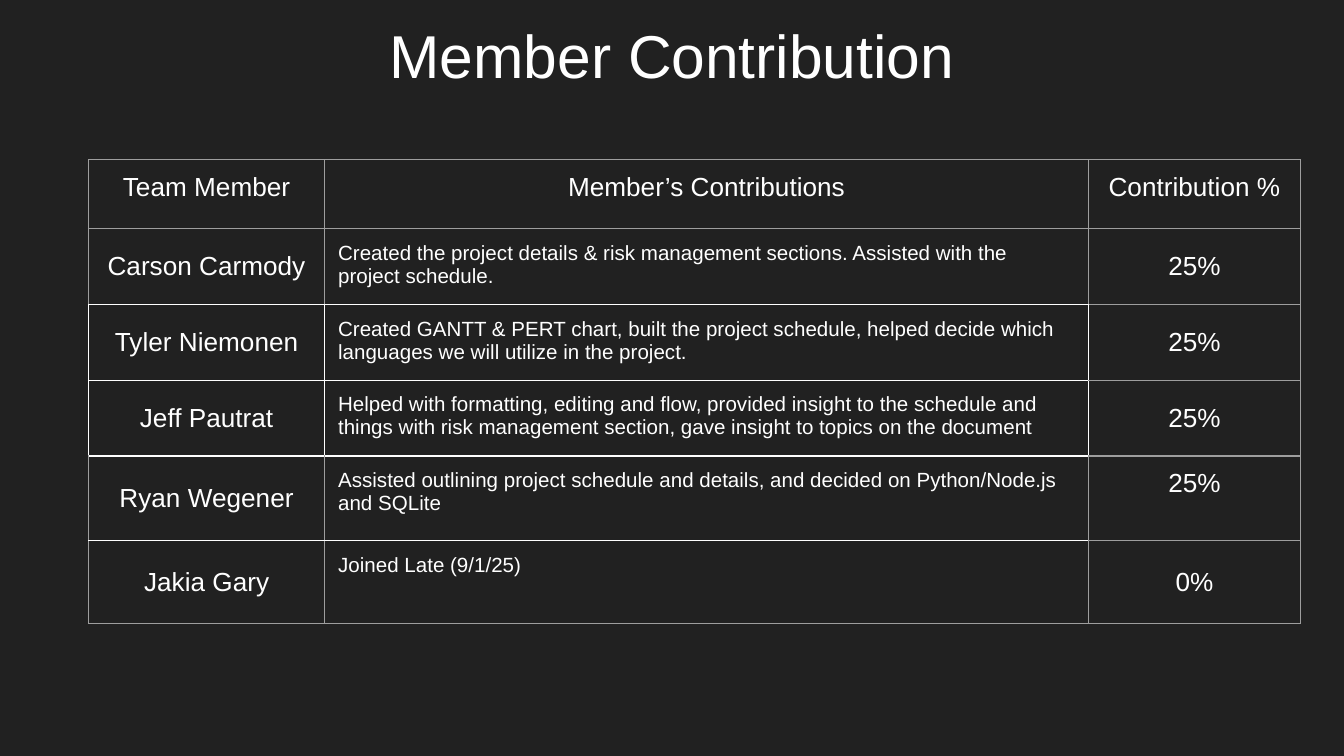
from dataclasses import dataclass

from lxml import etree
from pptx import Presentation
from pptx.dml.color import RGBColor
from pptx.enum.text import MSO_ANCHOR, PP_ALIGN
from pptx.oxml.ns import qn
from pptx.util import Cm, Pt

LEFT, CENTER = PP_ALIGN.LEFT, PP_ALIGN.CENTER
TOP, MIDDLE, BOTTOM = MSO_ANCHOR.TOP, MSO_ANCHOR.MIDDLE, MSO_ANCHOR.BOTTOM


@dataclass(frozen=True)
class Theme:
    background: str = "212121"
    text: str = "FFFFFF"
    grid: str = "9E9E9E"
    highlight: str = "FFFFFF"
    font: str = "Arial"
    title_size: float = 32.4
    label_size: float = 14
    detail_size: float = 11
    border: float = 0.75
    inset: float = 0.25


THEME = Theme()

COLUMN_WIDTHS = (4.47, 14.43, 4.01)
ROW_HEIGHTS = (1.3, 1.37, 1.42, 1.37, 1.6, 1.57)
ROWS = (
    ("Team Member", "Member’s Contributions", "Contribution %"),
    ("Carson Carmody",
     "Created the project details & risk management sections. "
     "Assisted with the project schedule.", "25%"),
    ("Tyler Niemonen",
     "Created GANTT & PERT chart, built the project schedule, helped decide "
     "which languages we will utilize in the project.", "25%"),
    ("Jeff Pautrat",
     "Helped with formatting, editing and flow, provided insight to the "
     "schedule and things with risk management section, gave insight to "
     "topics on the document", "25%"),
    ("Ryan Wegener",
     "Assisted outlining project schedule and details, and decided on "
     "Python/Node.js and SQLite", "25%"),
    ("Jakia Gary", "Joined Late (9/1/25)", "0%"),
)
DETAIL_COLUMN = 1
TOP_ANCHORED_PERCENT = (4, 2)


def set_text(text_frame, text, size, alignment):
    text_frame.text = text
    paragraph = text_frame.paragraphs[0]
    paragraph.alignment = alignment
    font = paragraph.runs[0].font
    font.name = THEME.font
    font.size = Pt(size)
    font.bold = False
    font.color.rgb = RGBColor.from_string(THEME.text)


def set_insets(box):
    box.margin_left = box.margin_right = Cm(THEME.inset)
    box.margin_top = box.margin_bottom = Cm(THEME.inset)


def horizontal_color(edge, column):
    return THEME.highlight if 2 <= edge <= 5 and column < 2 else THEME.grid


def vertical_color(edge, row):
    return THEME.highlight if row in (2, 3) and edge <= 2 else THEME.grid


def set_borders(cell, row, column):
    properties = cell._tc.get_or_add_tcPr()
    colors = {
        "a:lnL": vertical_color(column, row),
        "a:lnR": vertical_color(column + 1, row),
        "a:lnT": horizontal_color(row, column),
        "a:lnB": horizontal_color(row + 1, column),
    }
    for tag, color in colors.items():
        line = etree.SubElement(properties, qn(tag), w=str(Pt(THEME.border)))
        fill = etree.SubElement(line, qn("a:solidFill"))
        etree.SubElement(fill, qn("a:srgbClr"), val=color)


def add_title(slide, left, top, width, height):
    shape = slide.shapes.add_textbox(Cm(left), Cm(top), Cm(width), Cm(height))
    text_frame = shape.text_frame
    text_frame.word_wrap = True
    text_frame.vertical_anchor = BOTTOM
    set_insets(text_frame)
    set_text(text_frame, "Member Contribution", THEME.title_size, CENTER)


def fill_cell(cell, text, row, column):
    is_header = row == 0
    is_detail = column == DETAIL_COLUMN and not is_header
    at_top = is_header or is_detail or (row, column) == TOP_ANCHORED_PERCENT
    size = THEME.detail_size if is_detail else THEME.label_size
    set_text(cell.text_frame, text, size, LEFT if is_detail else CENTER)
    set_insets(cell)
    cell.vertical_anchor = TOP if at_top else MIDDLE
    set_borders(cell, row, column)
    cell.fill.background()


def add_contribution_table(slide, left, top, width, height):
    shape = slide.shapes.add_table(len(ROWS), len(COLUMN_WIDTHS),
                                   Cm(left), Cm(top), Cm(width), Cm(height))
    table = shape.table
    table.first_row = False
    table.horz_banding = False
    for column, share in zip(table.columns, COLUMN_WIDTHS):
        column.width = Cm(width * share / sum(COLUMN_WIDTHS))
    for row, share in zip(table.rows, ROW_HEIGHTS):
        row.height = Cm(height * share / sum(ROW_HEIGHTS))
    for row, texts in enumerate(ROWS):
        for column, text in enumerate(texts):
            fill_cell(table.cell(row, column), text, row, column)


def main():
    presentation = Presentation()
    presentation.slide_width = Cm(25.4)
    presentation.slide_height = Cm(14.29)
    slide = presentation.slides.add_slide(presentation.slide_layouts[6])
    background = slide.background.fill
    background.solid()
    background.fore_color.rgb = RGBColor.from_string(THEME.background)
    add_title(slide, 0, 0, 25.4, 1.96)
    add_contribution_table(slide, 1.67, 3.02, 22.91, 8.63)
    presentation.save("out.pptx")


if __name__ == "__main__":
    main()
